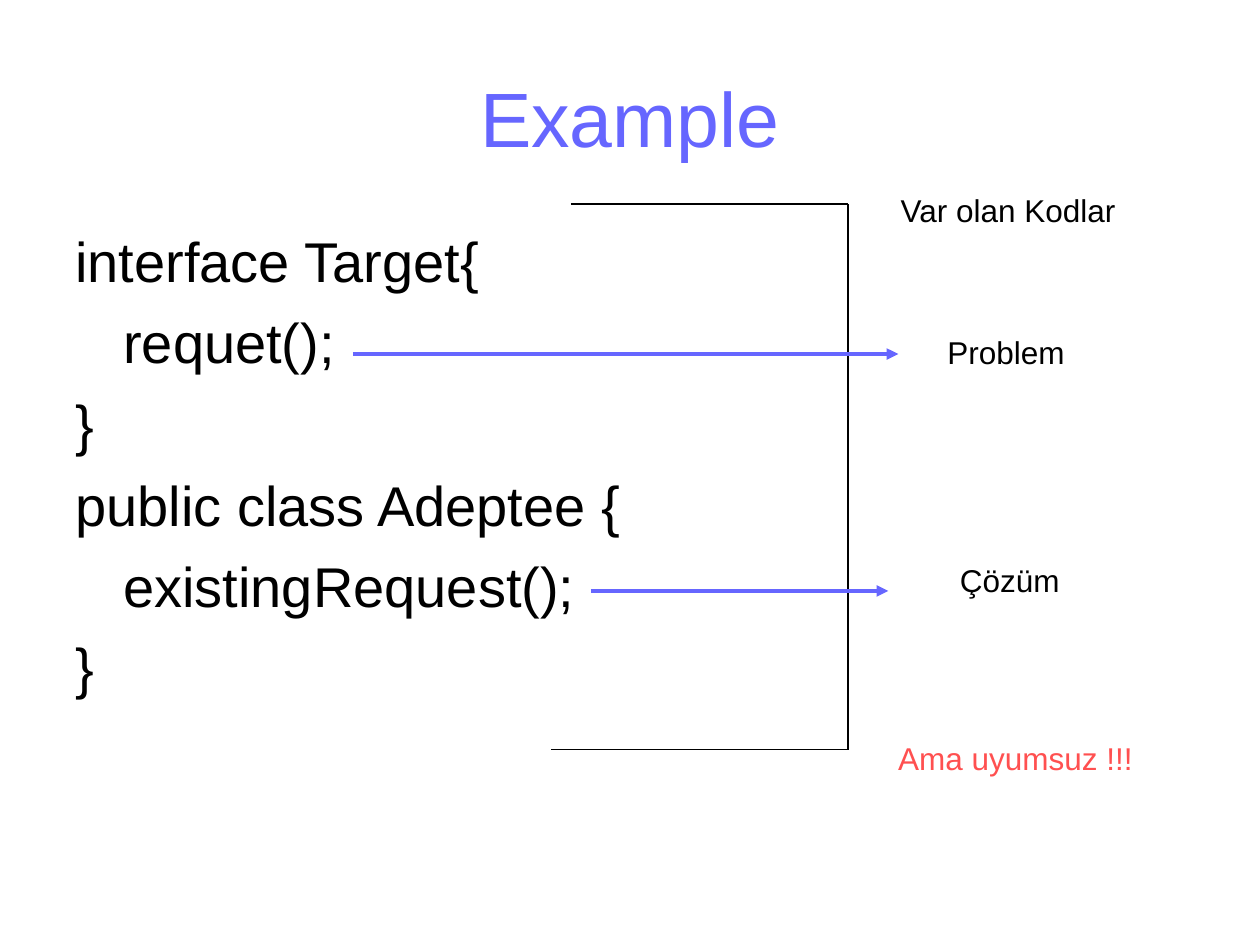
from lxml.etree import SubElement
from pptx import Presentation
from pptx.dml.color import RGBColor
from pptx.enum.shapes import MSO_CONNECTOR
from pptx.enum.text import MSO_ANCHOR, PP_ALIGN
from pptx.oxml.ns import qn
from pptx.util import Inches, Pt

COLORS = {"accent": "6666FF", "text": "000000", "warning": "FF5050"}
FONT = "Arial"
CODE_INDENT = 0.38

# Each code line with its indent level
CODE_LINES = [
    ("interface Target{", 0),
    ("requet();", 1),
    ("}", 0),
    ("public class Adeptee {", 0),
    ("existingRequest();", 1),
    ("}", 0),
]

# Text, box and colour of each remark
REMARKS = [
    ("Var olan Kodlar", (7.05, 1.47, 1.92, 0.4), "text"),
    ("Problem", (7.42, 2.59, 1.13, 0.4), "text"),
    ("Çözüm", (7.52, 4.4, 0.99, 0.4), "text"),
    ("Ama uyumsuz !!!", (7.03, 5.82, 2.06, 0.4), "warning"),
]

# Left, top, width of each arrow
ARROWS = [(2.8, 2.81, 4.33), (4.69, 4.69, 2.36)]


def add_text(page, box, lines, size, color, frame_format=None, para_format=None):
    """Place a text box and return its paragraphs."""
    frame = page.shapes.add_textbox(*map(Inches, box)).text_frame
    for name, value in (frame_format or {}).items():
        setattr(frame, name, value)
    for index, line in enumerate(lines):
        para = frame.paragraphs[0] if index == 0 else frame.add_paragraph()
        for name, value in (para_format or {}).items():
            setattr(para, name, value)
        span = para.add_run()
        span.text = line
        for name, value in {"name": FONT, "size": Pt(size)}.items():
            setattr(span.font, name, value)
        span.font.color.rgb = RGBColor.from_string(COLORS[color])
    return frame.paragraphs


def add_line(page, start, end, color, width, arrow=False):
    line = page.shapes.add_connector(
        MSO_CONNECTOR.STRAIGHT, *map(Inches, (*start, *end)))
    line.line.color.rgb = RGBColor.from_string(COLORS[color])
    line.line.width = Pt(width)
    properties = line._element.spPr
    if arrow:
        SubElement(properties.find(qn("a:ln")), qn("a:tailEnd"), type="triangle")
    SubElement(properties, qn("a:effectLst"))


def add_title(page, box):
    add_text(page, box, ["Example"], 44, "accent",
             {"word_wrap": True, "vertical_anchor": MSO_ANCHOR.MIDDLE},
             {"alignment": PP_ALIGN.CENTER})


def add_code(page, box):
    paras = add_text(page, box, [text for text, level in CODE_LINES], 32, "text",
                     {"word_wrap": True}, {"space_before": Pt(8)})
    for para, (text, level) in zip(paras, CODE_LINES):
        para._p.get_or_add_pPr().set("marL", str(Inches(CODE_INDENT * level)))


def add_bracket(page, box):
    """Draw a right bracket whose lower arm spans the whole box width."""
    left, top, width, height = box
    right, bottom = left + width, top + height
    corners = [(left + 0.16, top), (right, top), (right, bottom), (left, bottom)]
    for start, end in zip(corners, corners[1:]):
        add_line(page, start, end, "text", 0.75)


def add_remark(page, box, text, color):
    add_text(page, box, [text], 18, color, {"word_wrap": False})


def main():
    deck = Presentation()
    deck.slide_width, deck.slide_height = Inches(10), Inches(7.5)
    page = deck.slides.add_slide(deck.slide_layouts[6])

    # Title and code
    add_title(page, (0.5, 0.3, 9, 1.25))
    add_code(page, (0.5, 1.75, 9, 4.95))

    # Bracket and arrows from the code to the remarks
    add_bracket(page, (4.37, 1.62, 2.36, 4.33))
    for left, top, width in ARROWS:
        add_line(page, (left, top), (left + width, top), "accent", 2.25, arrow=True)

    # Remarks
    for text, box, color in REMARKS:
        add_remark(page, box, text, color)

    deck.save("out.pptx")


if __name__ == "__main__":
    main()
